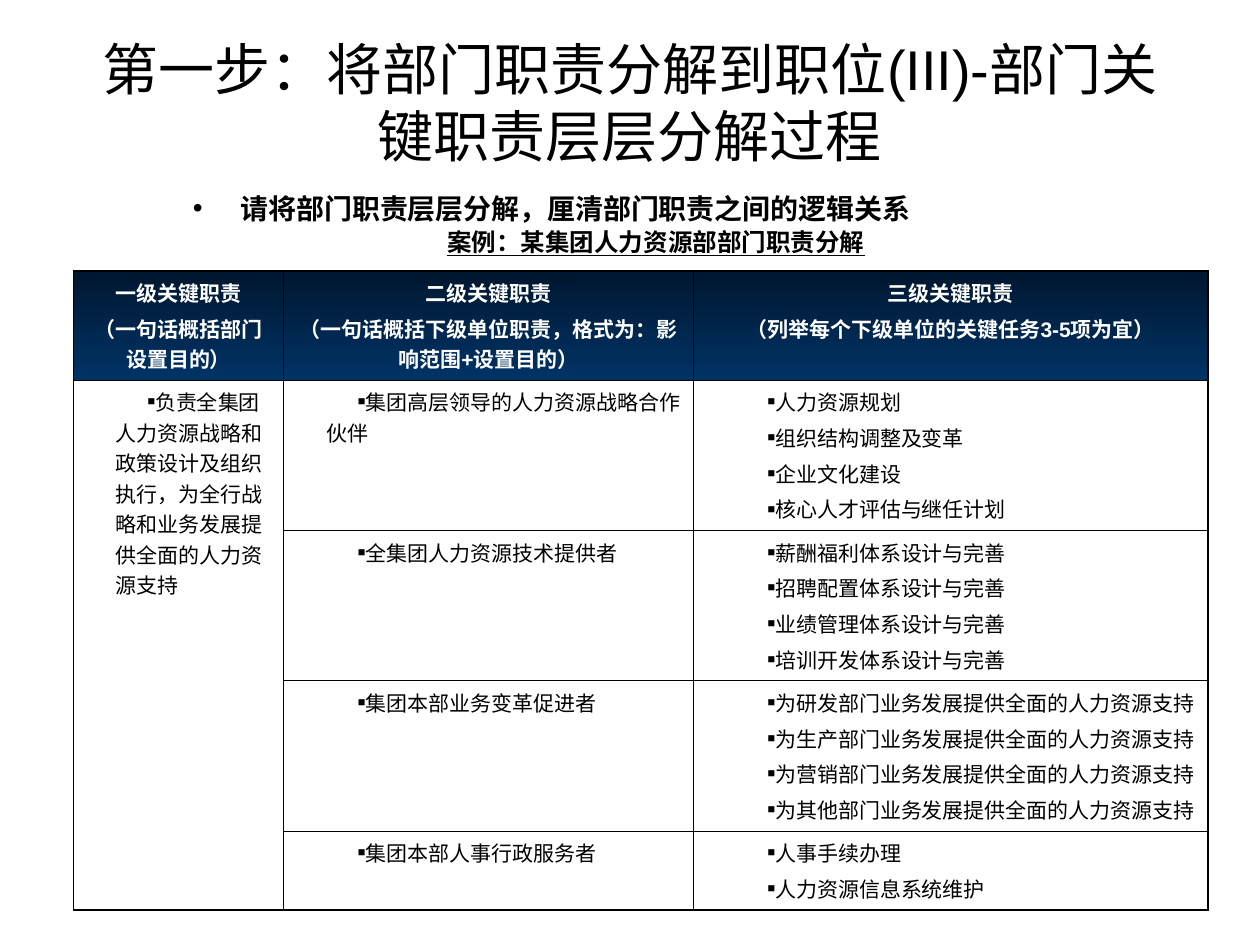
from lxml.etree import SubElement
from pptx import Presentation
from pptx.dml.color import RGBColor
from pptx.enum.text import MSO_ANCHOR as Anchor, MSO_AUTO_SIZE as AutoSize, PP_ALIGN as Align
from pptx.oxml.ns import qn
from pptx.util import Cm, Pt

BLACK = RGBColor(0x00, 0x00, 0x00)
WHITE = RGBColor(0xFF, 0xFF, 0xFF)
NAVY = RGBColor(0x00, 0x33, 0x66)
DARK_NAVY = RGBColor(0x00, 0x17, 0x2F)
LATIN, CJK = "Arial", "Noto Sans CJK SC"
THIN, THICK = Pt(0.45), Pt(1.08)

HEADERS = [
    ["一级关键职责", "（一句话概括部门设置目的）"],
    ["二级关键职责", "（一句话概括下级单位职责，格式为：影响范围+设置目的）"],
    ["三级关键职责", "（列举每个下级单位的关键任务3-5项为宜）"],
]
PURPOSE = "负责全集团人力资源战略和政策设计及组织执行，为全行战略和业务发展提供全面的人力资源支持"
DUTIES = [
    ("集团高层领导的人力资源战略合作伙伴",
     ["人力资源规划", "组织结构调整及变革", "企业文化建设", "核心人才评估与继任计划"]),
    ("全集团人力资源技术提供者",
     [f"{area}体系设计与完善" for area in ("薪酬福利", "招聘配置", "业绩管理", "培训开发")]),
    ("集团本部业务变革促进者",
     [f"为{unit}部门业务发展提供全面的人力资源支持" for unit in ("研发", "生产", "营销", "其他")]),
    ("集团本部人事行政服务者",
     ["人事手续办理", "人力资源信息系统维护"]),
]
COL_WIDTHS = [4.24, 8.26, 10.37]
ROW_HEIGHTS = [1.88, 2.77, 3.0, 2.62, 1.37]


def add_bullet(p, char, margin, indent, percent):
    pPr = p._p.get_or_add_pPr()
    pPr.set("marL", str(Cm(margin)))
    pPr.set("indent", str(Cm(indent)))
    color = SubElement(pPr, qn("a:buClr"))
    SubElement(color, qn("a:srgbClr"), val=str(BLACK))
    SubElement(pPr, qn("a:buSzPct"), val=str(percent * 1000))
    SubElement(pPr, qn("a:buFont"), typeface=LATIN)
    SubElement(pPr, qn("a:buChar"), char=char)


def write(tf, lines, size=12, color=BLACK, bold=False, underline=False, align=Align.LEFT,
          latin=LATIN, cjk=CJK, gap=0, bullet=None):
    """Fill a text frame; gap is the space before every paragraph but the first."""
    tf.word_wrap = True
    for i, line in enumerate(lines):
        p = tf.add_paragraph() if i else tf.paragraphs[0]
        p.alignment = align
        p.space_before = Pt(gap if i else 0)
        if bullet:
            add_bullet(p, **bullet)
        r = p.add_run()
        r.text = line
        r.font.name, r.font.size = latin, Pt(size)
        r.font.bold, r.font.underline = bold, underline
        r.font.color.rgb = color
        if cjk:
            SubElement(r._r.get_or_add_rPr(), qn("a:ea"), typeface=cjk)


def set_borders(cell, **widths):
    tcPr = cell._tc.get_or_add_tcPr()
    for i, side in enumerate("LRTB"):
        ln = SubElement(tcPr, qn(f"a:ln{side}"), w=str(widths[side]))
        fill = SubElement(ln, qn("a:solidFill"))
        SubElement(fill, qn("a:srgbClr"), val=str(BLACK))
        tcPr.insert(i, ln)


def add_title(s, left, top, width, height):
    sp = s.shapes.title
    sp.left, sp.top, sp.width, sp.height = Cm(left), Cm(top), Cm(width), Cm(height)
    tf = sp.text_frame
    tf.auto_size = AutoSize.NONE
    tf.vertical_anchor = Anchor.MIDDLE
    write(tf, ["第一步：将部门职责分解到职位(III)-部门关键职责层层分解过程"],
          size=32, align=Align.CENTER, cjk=None)


def fill_header(cell, lines):
    write(cell.text_frame, lines, color=WHITE, bold=True, align=Align.CENTER, gap=3)
    cell.fill.gradient()
    cell.fill.gradient_angle = 270
    for stop, position, color in zip(cell.fill.gradient_stops, (0, 1), (DARK_NAVY, NAVY)):
        stop.position = position
        stop.color.rgb = color


def fill_duties(cell, lines):
    cell.fill.background()
    cell.margin_right = Cm(0.2)
    write(cell.text_frame, lines, gap=3,
          bullet=dict(char="■", margin=0.6, indent=0.64, percent=60))


def add_duty_table(s, left, top):
    rows, cols = len(ROW_HEIGHTS), len(COL_WIDTHS)
    table = s.shapes.add_table(rows, cols, Cm(left), Cm(top),
                               Cm(sum(COL_WIDTHS)), Cm(sum(ROW_HEIGHTS))).table
    table.first_row = table.horz_banding = False
    for col, width in zip(table.columns, COL_WIDTHS):
        col.width = Cm(width)
    for row, height in zip(table.rows, ROW_HEIGHTS):
        row.height = Cm(height)

    for c, lines in enumerate(HEADERS):
        fill_header(table.cell(0, c), lines)
    table.cell(1, 0).merge(table.cell(rows - 1, 0))
    fill_duties(table.cell(1, 0), [PURPOSE])
    for r, (duty, tasks) in enumerate(DUTIES, start=1):
        fill_duties(table.cell(r, 1), [duty])
        fill_duties(table.cell(r, 2), tasks)

    for r in range(rows):
        for c in range(cols):
            cell = table.cell(r, c)
            last_row = r + (cell.span_height if cell.is_merge_origin else 1)
            set_borders(cell,
                        L=THICK if c == 0 else THIN,
                        R=THICK if c == cols - 1 else THIN,
                        T=THICK if r == 0 else THIN,
                        B=THICK if last_row == rows else THIN)


def add_caption(s, left, top, width, height):
    tf = s.shapes.add_textbox(Cm(left), Cm(top), Cm(width), Cm(height)).text_frame
    tf.auto_size = AutoSize.SHAPE_TO_FIT_TEXT
    write(tf, ["案例：某集团人力资源部部门职责分解"], size=14, bold=True, underline=True,
          align=Align.CENTER, latin=CJK)


def add_instruction(s, left, top, width, height):
    tf = s.shapes.add_textbox(Cm(left), Cm(top), Cm(width), Cm(height)).text_frame
    tf.margin_left, tf.margin_right, tf.margin_bottom = 0, Cm(0.2), Cm(0.2)
    write(tf, ["请将部门职责层层分解，厘清部门职责之间的逻辑关系"], size=16, bold=True,
          bullet=dict(char="•", margin=0.96, indent=-0.96, percent=100))


def main():
    prs = Presentation()
    prs.slide_width, prs.slide_height = Cm(25.4), Cm(19.05)
    s = prs.slides.add_slide(prs.slide_layouts[5])
    add_title(s, 1.27, 0.76, 22.86, 2.57)
    add_duty_table(s, 1.48, 5.46)
    add_caption(s, 7.41, 4.45, 11.63, 0.86)
    add_instruction(s, 3.89, 3.73, 20.12, 1.7)
    prs.save("out.pptx")


if __name__ == "__main__":
    main()
